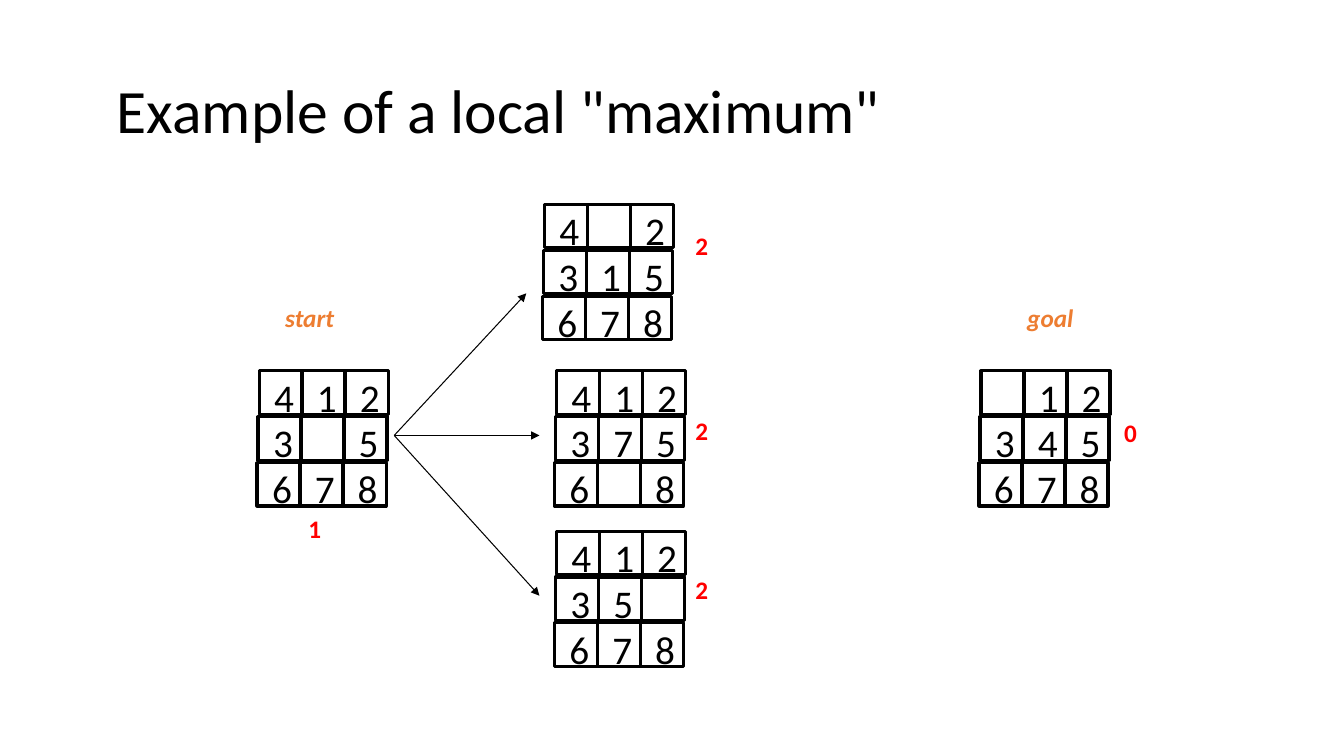
from lxml.etree import SubElement as Sub
from pptx import Presentation
from pptx.dml.color import RGBColor as RGB
from pptx.enum.shapes import MSO_CONNECTOR as Conn, MSO_SHAPE as Shape
from pptx.enum.text import MSO_ANCHOR as Anchor, MSO_AUTO_SIZE as Auto, PP_ALIGN as Align
from pptx.oxml.ns import qn
from pptx.util import Inches, Pt

HUES = {"ink": "000000", "cost": "FF0000", "name": "ED7D31"}
SIDE = 0.43
COL = 0.85 / 2
ROW = 0.91 / 2
SKEW = 0.01

BOARDS = [
    (9.73, 3.68, [" 12", "345", "678"]),
    (2.57, 3.68, ["412", "3 5", "678"]),
    (5.52, 5.27, ["412", "35 ", "678"]),
    (5.52, 3.68, ["412", "375", "6 8"]),
    (5.4, 2.03, ["4 2", "315", "678"]),
]
COSTS = [("1", 2.96, 5.04), ("2", 6.8, 2.24), ("2", 6.8, 4.07),
         ("2", 6.8, 5.65), ("0", 11.05, 4.09)]
NAMES = [("start", 2.73, 0.69), ("goal", 10.09, 0.66)]
TIPS = [(5.35, 4.32), (5.22, 2.91), (5.35, 5.91)]


def style(para, size, hue, bold=False, italic=False):
    font = para.font
    font.name = "Calibri"
    font.size = Pt(size)
    font.color.rgb = RGB.from_string(HUES[hue])
    font.bold = bold
    font.italic = italic


def add_title(slide, text):
    title = slide.shapes.title
    title.left, title.top = Inches(0.92), Inches(0.4)
    title.width, title.height = Inches(11.5), Inches(1.45)
    frame = title.text_frame
    frame.text = text
    frame.vertical_anchor = Anchor.MIDDLE
    para = frame.paragraphs[0]
    para.alignment = Align.LEFT
    para.line_spacing = 0.9
    style(para, 44, "ink")


def add_text(shapes, text, x, y, w, h, size, hue, bold=False, italic=False):
    box = shapes.add_textbox(Inches(x), Inches(y), Inches(w), Inches(h))
    frame = box.text_frame
    frame.word_wrap = False
    frame.auto_size = Auto.SHAPE_TO_FIT_TEXT
    frame.text = text
    style(frame.paragraphs[0], size, hue, bold, italic)


def add_tile(shapes, x, y, digit):
    tile = shapes.add_shape(Shape.RECTANGLE, Inches(x), Inches(y),
                            Inches(SIDE), Inches(SIDE))
    tile.shadow.inherit = False
    tile.fill.background()
    tile.line.color.rgb = RGB.from_string(HUES["ink"])
    tile.line.width = Pt(2.25)
    if digit != " ":
        add_text(shapes, digit, x + 0.05, y - 0.03, 0.4, 0.57, 28, "ink")


def add_board(slide, x, y, rows):
    group = slide.shapes.add_group_shape()
    for r, row in enumerate(rows):
        for c, digit in enumerate(row):
            add_tile(group.shapes, x + c * COL - r * SKEW, y + r * ROW, digit)


def add_arrow(slide, x, y):
    arrow = slide.shapes.add_connector(Conn.STRAIGHT, Inches(3.91), Inches(4.32),
                                       Inches(x), Inches(y))
    arrow.line.color.rgb = RGB.from_string(HUES["ink"])
    arrow.line.width = Pt(0.75)
    Sub(arrow.line._get_or_add_ln(), qn("a:tailEnd"), type="triangle")
    Sub(arrow._element.spPr, qn("a:effectLst"))


def main():
    deck = Presentation()
    deck.slide_width, deck.slide_height = Inches(13.33), Inches(7.5)
    slide = deck.slides.add_slide(deck.slide_layouts[5])
    add_title(slide, ' Example of a local "maximum"')
    for x, y in TIPS:
        add_arrow(slide, x, y)
    for text, x, y in COSTS:
        add_text(slide.shapes, text, x, y, 0.33, 0.4, 18, "cost", bold=True)
    for text, x, w in NAMES:
        add_text(slide.shapes, text, x, 2.95, w, 0.4, 18, "name", bold=True, italic=True)
    for x, y, rows in BOARDS:
        add_board(slide, x, y, rows)
    deck.save("out.pptx")


if __name__ == "__main__":
    main()
